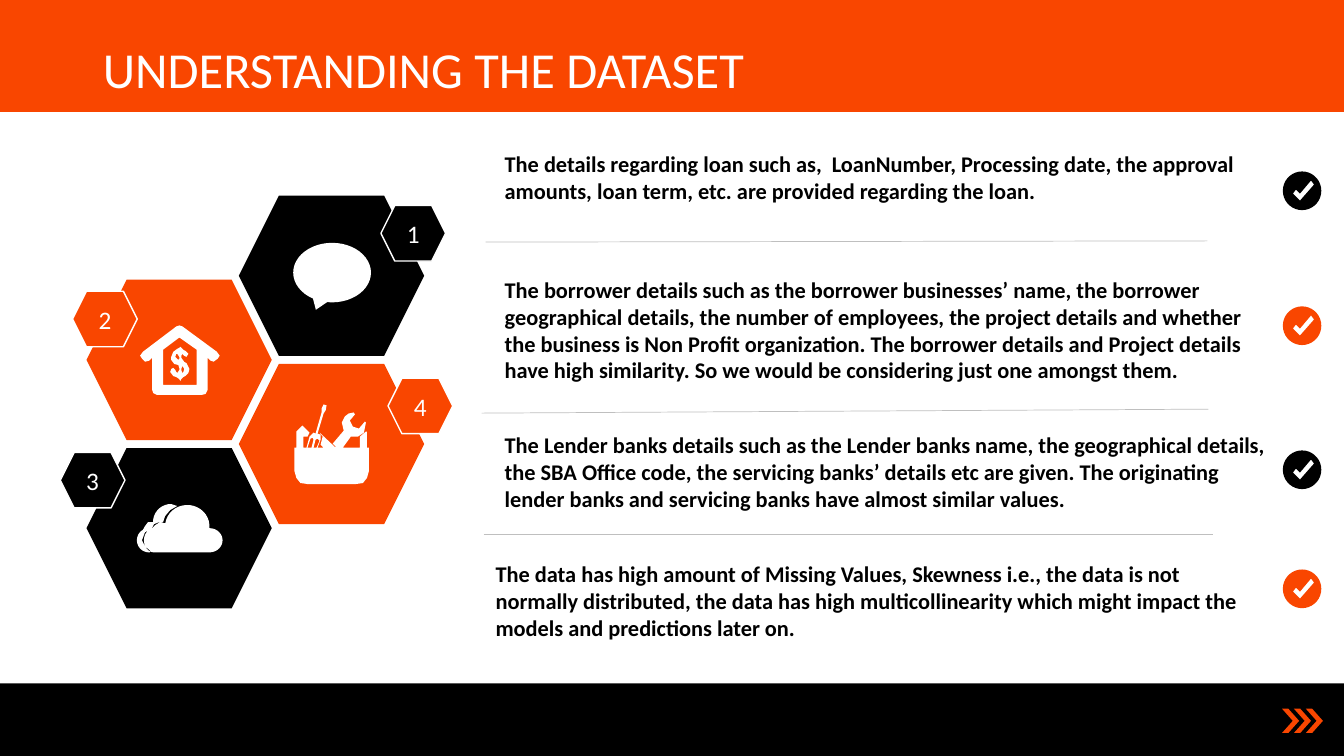
import math

import lxml.etree
import pptx
import pptx.dml.color
import pptx.enum.shapes
import pptx.enum.text
import pptx.oxml.ns
import pptx.util
from pptx.util import Cm

ORANGE = pptx.dml.color.RGBColor(0xF9, 0x46, 0x00)
BLACK = pptx.dml.color.RGBColor(0x00, 0x00, 0x00)
WHITE = pptx.dml.color.RGBColor(0xFF, 0xFF, 0xFF)
GREY = pptx.dml.color.RGBColor(0xBF, 0xBF, 0xBF)
FONT = "Calibri"
PRESET = pptx.enum.shapes.MSO_SHAPE
ICON_UNIT = 0.0254  # centimetres per icon grid step

# Left, top, width, height, badge top, badge colour, text
STATEMENTS = [
    (12.47, 3.66, 19.56, 1.63, 4.32, BLACK,
     "The details regarding loan such as,  LoanNumber, Processing date, the approval "
     "amounts, loan term, etc. are provided regarding the loan."),
    (12.47, 6.83, 19.89, 3.0, 7.72, ORANGE,
     "The borrower details such as the borrower businesses’ name, the borrower "
     "geographical details, the number of employees, the project details and whether "
     "the business is Non Profit organization. The borrower details and Project details "
     "have high similarity. So we would be considering just one amongst them."),
    (12.47, 10.74, 19.84, 2.31, 11.35, BLACK,
     "The Lender banks details such as the Lender banks name, the geographical details, "
     "the SBA Office code, the servicing banks’ details etc are given. The originating "
     "lender banks and servicing banks have almost similar values."),
    (12.24, 14.0, 19.56, 2.31, 14.35, ORANGE,
     "The data has high amount of Missing Values, Skewness i.e., the data is not "
     "normally distributed, the data has high multicollinearity which might impact the "
     "models and predictions later on."),
]
DIVIDERS = [(12.24, 6.1, 30.43, 6.07), (12.14, 10.41, 30.45, 10.31),
            (12.19, 13.46, 30.56, 13.46)]

# Hexagon left, colour, label, label left, label top; one row each
HEXAGONS = [
    (6.02, BLACK, "1", 9.6, 5.18),
    (2.18, ORANGE, "2", 1.83, 7.34),
    (6.02, ORANGE, "4", 9.78, 9.53),
    (2.18, BLACK, "3", 1.52, 11.4),
]


def arc(center_x, center_y, radius_x, radius_y, start, end):
    """Points on an ellipse, clockwise, angles in degrees."""
    steps = max(6, round((end - start) / 10))
    angles = [math.radians(start + (end - start) * step / steps) for step in range(steps + 1)]
    return [(center_x + radius_x * math.cos(angle), center_y + radius_y * math.sin(angle))
            for angle in angles]


# Icon outlines: each is a list of contours on the icon grid
CHECK_BADGE = [
    arc(19.1, 19.2, 19.1, 19.2, 0, 350),
    [(17, 29), (10, 22), (13, 18), (17, 22), (28, 9), (31, 13)],
]
HOUSE = [
    [(9, 35), (12, 32), (12, 64), (13, 67), (17, 69), (61, 69), (65, 68), (67, 64), (67, 32),
     (70, 35), (73, 36), (77, 33), (79, 30), (76, 26), (42, 1), (39, 0), (36, 1), (3, 26),
     (0, 30), (2, 33), (5, 36)],
    [(39, 12), (56, 24), (56, 59), (23, 59), (23, 24)],
]
DOLLAR = [
    [(7, 26), (6, 25), (5, 23), (3, 21), (1, 22), (0, 25), (3, 29), (6, 30), (9, 32), (10, 34),
     (11, 32), (13, 30), (15, 29), (18, 26), (19, 22), (16, 16), (14, 15), (11, 11), (11, 9),
     (12, 7), (13, 8), (14, 9), (16, 10), (18, 7), (15, 4), (13, 3), (11, 1), (10, 0), (9, 1),
     (7, 2), (3, 5), (1, 10), (1, 13), (4, 17), (8, 18), (9, 21), (9, 23)],
    [(11, 22), (12, 19), (14, 22), (13, 25), (12, 26), (11, 23)],
    [(8, 13), (7, 12), (5, 10), (6, 7), (7, 7), (9, 10), (9, 12)],
]
TOOLBOX = [
    [(72, 43), (72, 27), (71, 27), (65, 32), (65, 43), (48, 43), (56, 32), (63, 32), (69, 28),
     (71, 18), (70, 17), (64, 24), (58, 22), (55, 16), (60, 10), (59, 8), (54, 9), (50, 12),
     (47, 18), (49, 26), (38, 39), (42, 43), (40, 42), (25, 28), (28, 32), (26, 40), (29, 43),
     (23, 43), (26, 35), (26, 30), (23, 29), (29, 9), (31, 6), (32, 1), (29, 0), (27, 4),
     (27, 8), (21, 29), (19, 28), (15, 32), (12, 43), (9, 43), (9, 32), (13, 32), (15, 28),
     (8, 21), (2, 27), (2, 43), (0, 43), (0, 66), (2, 73), (6, 78), (13, 79), (61, 79),
     (68, 78), (72, 73), (74, 66), (74, 43)],
    [(21, 35), (23, 34), (25, 36), (22, 43), (19, 43)],
    [(16, 34), (18, 33), (19, 35), (17, 43), (13, 43)],
]
CLOUD = [
    arc(17, 36, 10, 12, 90, 260) + [(18, 21), (23, 18), (27, 19)]
    + arc(50, 22, 22, 21, 188, 365) + arc(72, 36, 13, 12, 270, 450),
    arc(34, 18, 18, 18, 180, 270)
    + [(40, 2), (33, 6), (28, 12), (26, 18), (22, 18), (17, 20), (15, 24), (8, 28), (5, 36),
       (8, 42), (13, 46), (13, 48)]
    + arc(12, 36, 12, 12, 90, 240) + [(8, 22), (11, 18)],
]


def paint(shape, fill, line=None):
    shape.shadow.inherit = False
    shape.fill.solid()
    shape.fill.fore_color.rgb = fill
    if line is None:
        shape.line.fill.background()
    else:
        shape.line.color.rgb = line
        shape.line.width = pptx.util.Pt(1)


def set_text(shape, text, size, color, bold=False):
    frame = shape.text_frame
    frame.word_wrap = True
    frame.text = text
    paragraph = frame.paragraphs[0]
    paragraph.font.name = FONT
    paragraph.font.size = pptx.util.Pt(size)
    paragraph.font.bold = bold
    paragraph.font.color.rgb = color
    return paragraph


def add_preset(slide, preset, left, top, width, height, fill, line=None):
    shape = slide.shapes.add_shape(preset, Cm(left), Cm(top), Cm(width), Cm(height))
    paint(shape, fill, line)
    return shape


def add_icon(slide, contours, left, top, fill):
    builder = None
    for contour in contours:
        points = [(Cm(x * ICON_UNIT), Cm(y * ICON_UNIT)) for x, y in contour]
        if builder is None:
            builder = slide.shapes.build_freeform(*points[0])
        else:
            builder.move_to(*points[0])
        builder.add_line_segments(points[1:], close=True)
    paint(builder.convert_to_shape(Cm(left), Cm(top)), fill)


def add_divider(slide, *ends):
    connector = slide.shapes.add_connector(
        pptx.enum.shapes.MSO_CONNECTOR.STRAIGHT, *[Cm(end) for end in ends])
    connector.line.color.rgb = GREY
    connector.line.width = pptx.util.Pt(0.5)
    lxml.etree.SubElement(connector.element.spPr, pptx.oxml.ns.qn("a:effectLst"))


def add_label(slide, text, left, top, fill):
    label = add_preset(slide, PRESET.HEXAGON, left, top, 1.63, 1.4, fill, WHITE)
    frame = label.text_frame
    frame.margin_left = frame.margin_right = frame.margin_top = frame.margin_bottom = 0
    frame.vertical_anchor = pptx.enum.text.MSO_ANCHOR.MIDDLE
    set_text(label, text, 18, WHITE).alignment = pptx.enum.text.PP_ALIGN.CENTER


def add_title(slide, text):
    title = slide.shapes.title
    title.left, title.top, title.width, title.height = Cm(2.34), Cm(-0.03), Cm(29.21), Cm(3.68)
    title.text_frame.auto_size = pptx.enum.text.MSO_AUTO_SIZE.NONE
    title.text_frame.vertical_anchor = pptx.enum.text.MSO_ANCHOR.MIDDLE
    paragraph = set_text(title, text, 36, WHITE)
    paragraph.alignment = pptx.enum.text.PP_ALIGN.LEFT
    paragraph.line_spacing = 0.9
    title.element.getparent().append(title.element)  # in front of the header band


def main():
    presentation = pptx.Presentation()
    presentation.slide_width, presentation.slide_height = Cm(33.87), Cm(19.05)
    slide = presentation.slides.add_slide(presentation.slide_layouts[5])

    # Header, footer and title
    add_preset(slide, PRESET.RECTANGLE, 0, 0, 33.87, 2.82, ORANGE)
    add_preset(slide, PRESET.RECTANGLE, 0, 17.22, 33.87, 1.83, BLACK)
    for index in range(3):
        chevron = add_preset(slide, PRESET.CHEVRON, 32.31 + 0.3 * index, 17.86, 0.43, 0.61, ORANGE)
        chevron.adjustments[0] = 0.63
    add_title(slide, "UNDERSTANDING THE DATASET")

    # Statements with check badges
    for divider in DIVIDERS:
        add_divider(slide, *divider)
    for left, top, width, height, badge_top, color, text in STATEMENTS:
        add_icon(slide, CHECK_BADGE, 32.33, badge_top, color)
        box = slide.shapes.add_textbox(Cm(left), Cm(top), Cm(width), Cm(height))
        set_text(box, text, 16, BLACK, bold=True)

    # Honeycomb with icons and numbers
    for row, (left, color, *_) in enumerate(HEXAGONS):
        add_preset(slide, PRESET.HEXAGON, left, 4.93 + 2.12 * row, 4.67, 4.04, color)
    add_preset(slide, PRESET.OVAL_CALLOUT, 7.39, 6.12, 1.96, 1.5, WHITE)
    add_icon(slide, HOUSE, 3.53, 8.2, WHITE)
    add_icon(slide, DOLLAR, 4.29, 8.74, WHITE)
    add_icon(slide, TOOLBOX, 7.42, 10.19, WHITE)
    add_icon(slide, CLOUD, 3.45, 12.7, WHITE)
    for _, color, number, left, top in HEXAGONS:
        add_label(slide, number, left, top, color)

    presentation.save("out.pptx")


if __name__ == "__main__":
    main()
